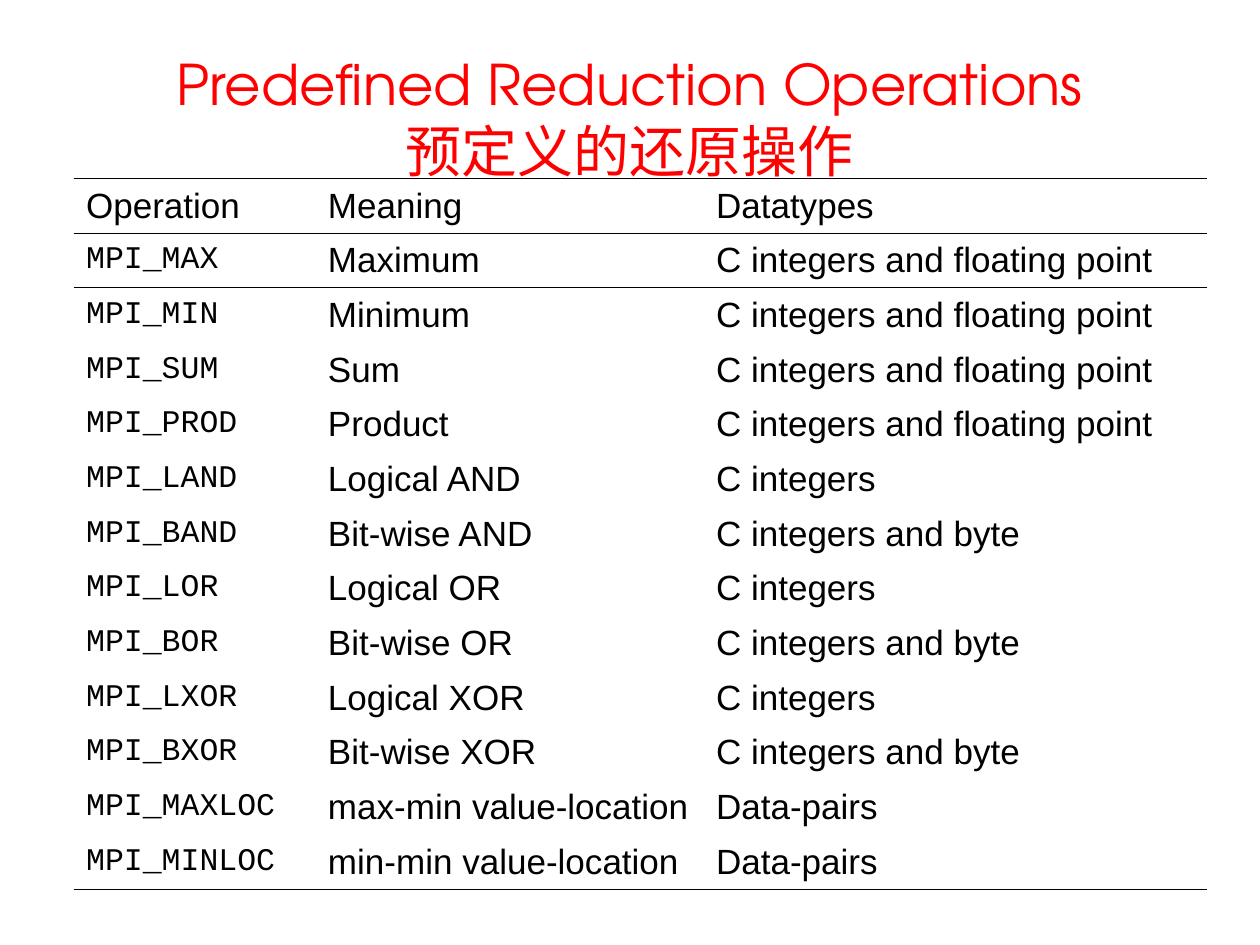
import pptx
import pptx.util
import pptx.dml.color
import pptx.enum.text
import pptx.oxml
import pptx.oxml.ns

Pt = pptx.util.Pt
RED = pptx.dml.color.RGBColor(0xFF, 0x00, 0x00)
BLACK = pptx.dml.color.RGBColor(0x00, 0x00, 0x00)
NO_GRID_STYLE = "{2D5ABB26-0587-4C30-8999-92F81FD0307C}"
NUMERIC = "C integers and floating point"
LOGICAL = "C integers"
BITWISE = "C integers and byte"
PAIRS = "Data-pairs"

operations = [
    ("Operation", "Meaning", "Datatypes"),
    ("MPI_MAX", "Maximum", NUMERIC),
    ("MPI_MIN", "Minimum", NUMERIC),
    ("MPI_SUM", "Sum", NUMERIC),
    ("MPI_PROD", "Product", NUMERIC),
    ("MPI_LAND", "Logical AND", LOGICAL),
    ("MPI_BAND", "Bit-wise AND", BITWISE),
    ("MPI_LOR", "Logical OR", LOGICAL),
    ("MPI_BOR", "Bit-wise OR", BITWISE),
    ("MPI_LXOR", "Logical XOR", LOGICAL),
    ("MPI_BXOR", "Bit-wise XOR", BITWISE),
    ("MPI_MAXLOC", "max-min value-location", PAIRS),
    ("MPI_MINLOC", "min-min value-location", PAIRS),
]
column_widths = [138.24, 221.76, 288]
row_height = 31.25
last_row = len(operations) - 1


def add_rule(cell, side):
    cell._tc.get_or_add_tcPr().append(pptx.oxml.parse_xml(
        f'<a:{side} {pptx.oxml.ns.nsdecls("a")} w="{Pt(0.45)}">'
        f'<a:solidFill><a:srgbClr val="{BLACK}"/></a:solidFill></a:{side}>'))


presentation = pptx.Presentation()
presentation.slide_width = Pt(720)
presentation.slide_height = Pt(540)
slide = presentation.slides.add_slide(presentation.slide_layouts[5])

heading = slide.shapes.title
heading.left, heading.top, heading.width, heading.height = Pt(36), Pt(21.6), Pt(648), Pt(90)
heading.text_frame.auto_size = pptx.enum.text.MSO_AUTO_SIZE.NONE
heading.text_frame.vertical_anchor = pptx.enum.text.MSO_ANCHOR.MIDDLE
heading_lines = heading.text_frame.paragraphs[0]
heading_lines.alignment = pptx.enum.text.PP_ALIGN.CENTER
heading_lines.font.name = "TeX Gyre Adventor"
heading_lines.font.size = Pt(32)
heading_lines.font.color.rgb = RED
heading_lines.add_run().text = "Predefined Reduction Operations"
heading_lines.add_line_break()
heading_lines.add_run().text = "预定义的还原操作"

operation_frame = slide.shapes.add_table(
    len(operations), len(column_widths), Pt(42), Pt(102),
    Pt(sum(column_widths)), Pt(row_height * len(operations)))
operation_table = operation_frame.table
operation_table.first_row = False
operation_table.horz_banding = False
operation_table._tbl.tblPr.find(pptx.oxml.ns.qn("a:tableStyleId")).text = NO_GRID_STYLE

for column, width in zip(operation_table.columns, column_widths):
    column.width = Pt(width)

for row_index, entries in enumerate(operations):
    operation_table.rows[row_index].height = Pt(row_height)
    for column_index, entry in enumerate(entries):
        cell = operation_table.cell(row_index, column_index)
        cell.text = entry
        cell.vertical_anchor = pptx.enum.text.MSO_ANCHOR.MIDDLE
        if row_index in (0, 1):
            add_rule(cell, "lnT")
        if row_index in (0, last_row):
            add_rule(cell, "lnB")
        cell.fill.background()
        is_code = row_index > 0 and column_index == 0
        line = cell.text_frame.paragraphs[0]
        line.font.name = "Courier New" if is_code else "Arial"
        line.font.size = Pt(18 if is_code else 20)
        line.font.color.rgb = BLACK
        hanging = line._p.get_or_add_pPr()
        hanging.set("marL", str(Pt(27)))
        hanging.set("indent", str(-Pt(27)))

presentation.save("out.pptx")
